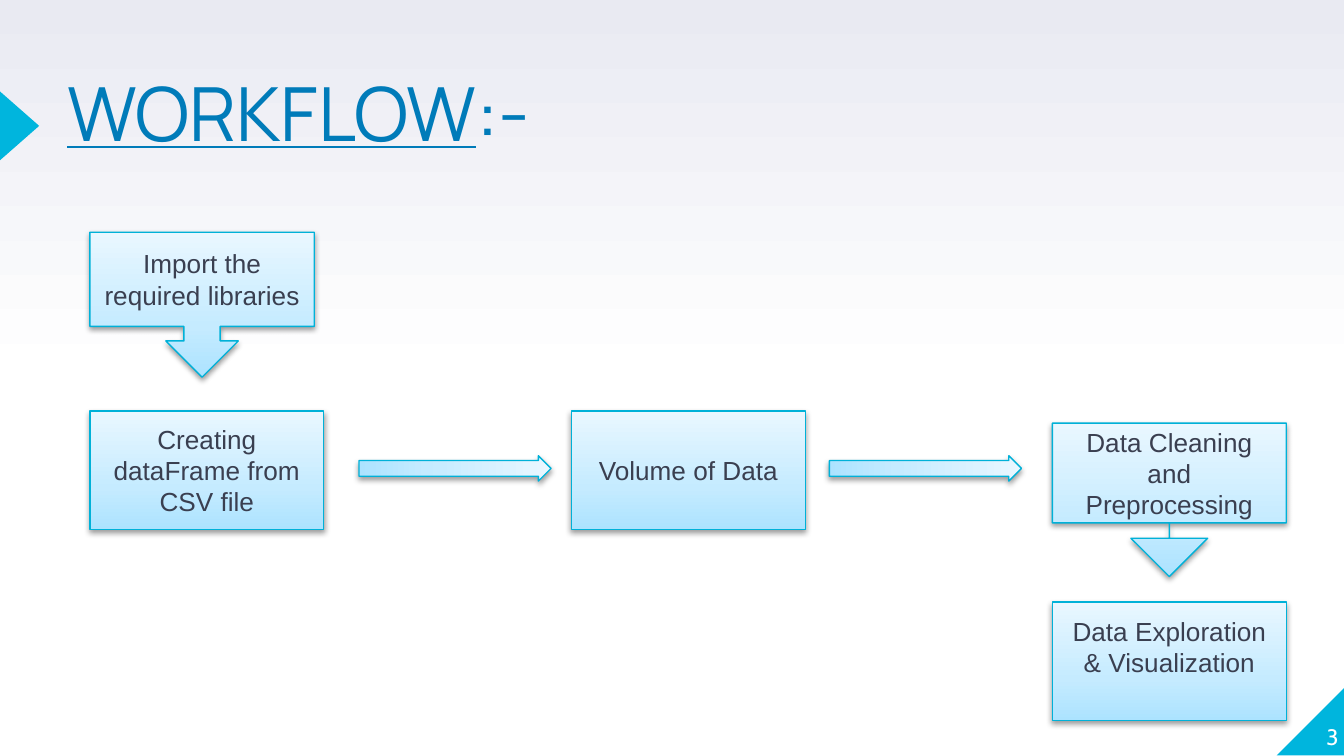
"""Build the workflow slide: a title and five steps joined by arrows."""
from dataclasses import dataclass

import lxml.etree as etree
import pptx
import pptx.dml.color
import pptx.enum.shapes
import pptx.enum.text
import pptx.oxml.ns
import pptx.util

Cm = pptx.util.Cm
Pt = pptx.util.Pt
qn = pptx.oxml.ns.qn
MSO_SHAPE = pptx.enum.shapes.MSO_SHAPE
ANCHOR = pptx.enum.text.MSO_ANCHOR
ALIGN = pptx.enum.text.PP_ALIGN

COLORS = {
    "accent": "00B5DD",
    "title": "007BB9",
    "outline": "00B1D8",
    "text": "3A3F50",
    "white": "FFFFFF",
    "shadow": "000000",
}
STEP_STOPS = ((0, "ACE3FF"), (35, "C5EBFF"), (100, "E9F7FF"))
PAGE_STOPS = ((0, "FFFFFF"), (50, "FFFFFF"), (100, "E9EAF2"))

LEFT, MIDDLE, RIGHT = 1.7, 10.8, 19.89
ROW = 7.77
BOX_W, BOX_H = 4.42, 2.24
ARROW_W, ARROW_H, ARROW_Y = 0.48, 3.63, 7.04


@dataclass(frozen=True)
class Block:
    kind: int
    x: float
    y: float
    w: float = BOX_W
    h: float = BOX_H
    text: str = ""
    adjustments: tuple[float, ...] = ()
    rotation: float = 0
    bottom: float = 0.13


BLOCKS = [
    Block(MSO_SHAPE.DOWN_ARROW_CALLOUT, LEFT, 4.39, 4.24, 2.74, "Import the required libraries"),
    Block(MSO_SHAPE.DOWN_ARROW_CALLOUT, RIGHT, 8, BOX_W, 2.9, "Data Cleaning and Preprocessing",
          (0, 0.25, 0.25, 0.65)),
    Block(MSO_SHAPE.RECTANGLE, RIGHT, 11.38, text="Data Exploration & Visualization", bottom=0.69),
    Block(MSO_SHAPE.RECTANGLE, MIDDLE, ROW, text="Volume of Data"),
    Block(MSO_SHAPE.RECTANGLE, LEFT, ROW, text="Creating dataFrame from CSV file"),
] + [
    Block(MSO_SHAPE.UP_ARROW, x, ARROW_Y, ARROW_W, ARROW_H, adjustments=(0.617, 0.5), rotation=90)
    for x in (8.36, 17.25)
]


def rgb(name: str) -> pptx.dml.color.RGBColor:
    return pptx.dml.color.RGBColor.from_string(COLORS[name])


def set_gradient(fill, element, stops: tuple) -> None:
    fill.gradient()
    fill.gradient_angle = 90
    gs_list = next(element.iter(qn("a:gsLst")))
    for gs in list(gs_list):
        gs_list.remove(gs)
    for pos, color in stops:
        gs = etree.SubElement(gs_list, qn("a:gs"), pos=str(pos * 1000))
        etree.SubElement(gs, qn("a:srgbClr"), val=color)


def add_shadow(sp) -> None:
    effects = sp._element.spPr.find(qn("a:effectLst"))
    shadow = etree.SubElement(effects, qn("a:outerShdw"), blurRad=str(Pt(3.1)),
                              dist=str(Pt(1.6)), dir="5400000", rotWithShape="0")
    color = etree.SubElement(shadow, qn("a:srgbClr"), val=COLORS["shadow"])
    etree.SubElement(color, qn("a:alpha"), val="38000")


def add_run(p, text: str, size: float, font: str, color: str, underline: bool = False) -> None:
    r = p.add_run()
    r.text = text
    r.font.size = Pt(size)
    r.font.name = font
    r.font.color.rgb = rgb(color)
    r.font.underline = underline


def add_base(s, kind: int, x: float, y: float, w: float, h: float, rotation: float = 0):
    sp = s.shapes.add_shape(kind, Cm(x), Cm(y), Cm(w), Cm(h))
    sp.rotation = rotation
    sp.shadow.inherit = False
    return sp


def add_accent(s, kind: int, x: float, y: float, w: float, h: float, rotation: float = 0):
    sp = add_base(s, kind, x, y, w, h, rotation)
    sp.fill.solid()
    sp.fill.fore_color.rgb = rgb("accent")
    sp.line.fill.background()
    return sp


def add_label(s, x: float, y: float, w: float, h: float, anchor):
    tf = s.shapes.add_textbox(Cm(x), Cm(y), Cm(w), Cm(h)).text_frame
    tf.word_wrap = True
    tf.vertical_anchor = anchor
    tf.margin_left = tf.margin_right = tf.margin_top = tf.margin_bottom = 0
    return tf.paragraphs[0]


def add_block(s, block: Block) -> None:
    sp = add_base(s, block.kind, block.x, block.y, block.w, block.h, block.rotation)
    for i, value in enumerate(block.adjustments):
        sp.adjustments[i] = value
    set_gradient(sp.fill, sp._element, STEP_STOPS)
    sp.line.color.rgb = rgb("outline")
    sp.line.width = Pt(0.75)
    add_shadow(sp)
    if block.text:
        tf = sp.text_frame
        tf.word_wrap = True
        tf.vertical_anchor = ANCHOR.MIDDLE
        tf.margin_bottom = Cm(block.bottom)
        p = tf.paragraphs[0]
        p.alignment = ALIGN.CENTER
        add_run(p, block.text, 14, "Arial", "text")


def main() -> None:
    prs = pptx.Presentation()
    prs.slide_width, prs.slide_height = Cm(25.4), Cm(14.29)
    s = prs.slides.add_slide(prs.slide_layouts[6])
    set_gradient(s.background.fill, s.element, PAGE_STOPS)

    corner = add_accent(s, MSO_SHAPE.RIGHT_TRIANGLE, 24.13, 12.98, 1.3, 1.3)
    corner._element.spPr.xfrm.set("flipH", "1")
    add_accent(s, MSO_SHAPE.ISOSCELES_TRIANGLE, -0.28, 2.01, 1.3, 0.74, 90)

    p = add_label(s, 1.27, 1.6, 15.67, 3, ANCHOR.TOP)
    p.line_spacing = 0.8
    add_run(p, "WORKFLOW", 40, "Manrope", "title", True)
    add_run(p, ":-", 40, "Manrope", "title")

    p = add_label(s, 24.03, 12.88, 1.27, 1.3, ANCHOR.BOTTOM)
    p.alignment = ALIGN.RIGHT
    add_run(p, "3", 12, "Cabin", "white")

    for block in BLOCKS:
        add_block(s, block)
    prs.save("out.pptx")


if __name__ == "__main__":
    main()
